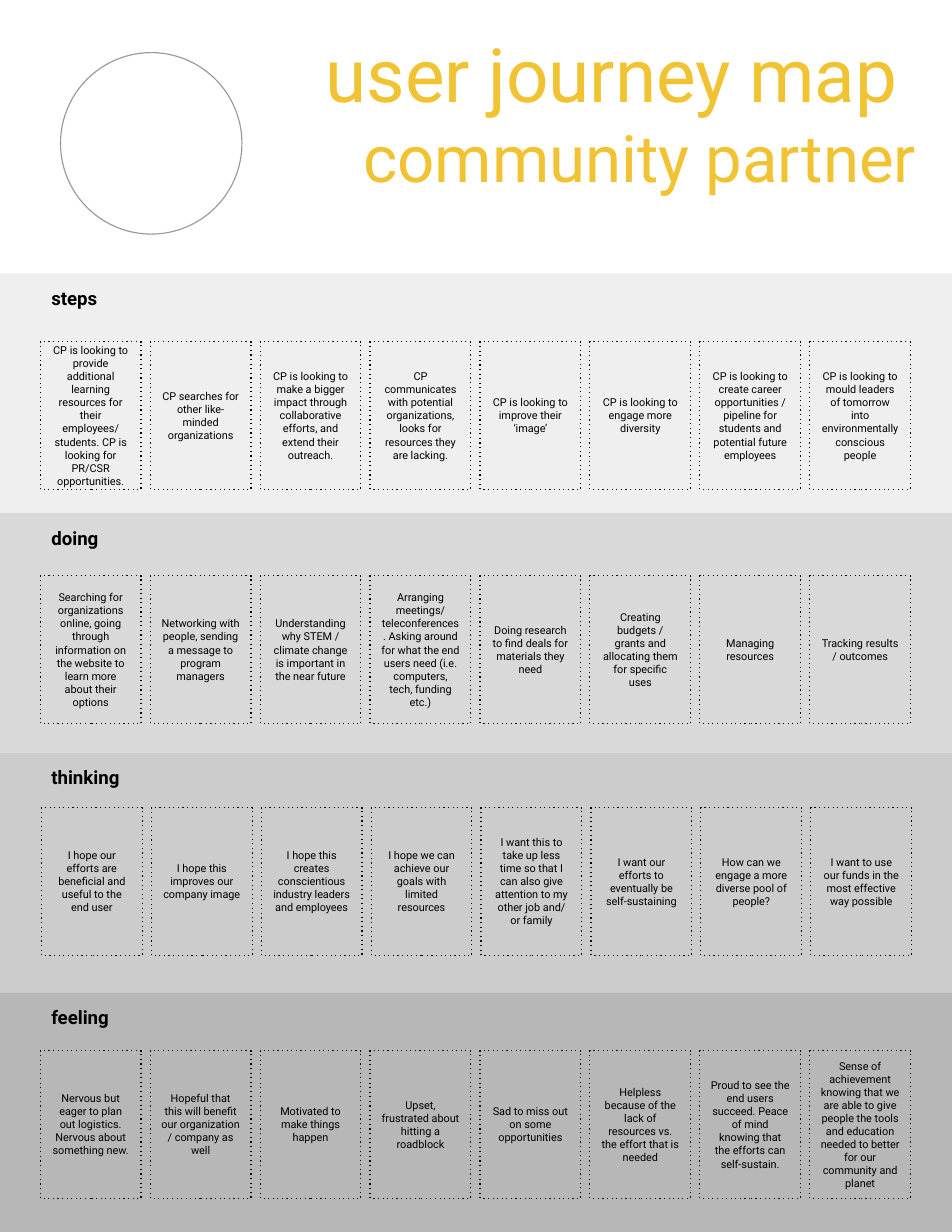
from dataclasses import dataclass
from typing import Any

from lxml import etree
from pptx import Presentation
from pptx.dml.color import RGBColor
from pptx.enum.shapes import MSO_SHAPE
from pptx.enum.text import MSO_ANCHOR, MSO_AUTO_SIZE, PP_ALIGN
from pptx.oxml.ns import qn
from pptx.util import Inches, Pt

RECT, OVAL = MSO_SHAPE.RECTANGLE, MSO_SHAPE.OVAL
TOP, MIDDLE = MSO_ANCHOR.TOP, MSO_ANCHOR.MIDDLE
CENTER, RIGHT, JUSTIFY = PP_ALIGN.CENTER, PP_ALIGN.RIGHT, PP_ALIGN.JUSTIFY
NO_FIT = MSO_AUTO_SIZE.NONE

FONT = "Roboto"
COLORS = {
    "title": "F1C232", "ink": "000000", "ring": "999999",
    "steps": "EFEFEF", "doing": "D9D9D9",
    "thinking": "CCCCCC", "feeling": "B7B7B7",
}

# Grid, in inches
BAND_TOP, BAND_STEP = 2.44, 2.14
LEFT, LAST = 0.36, 7.23
CARD_W, CARD_H = 0.9, 1.32


@dataclass
class Band:
    name: str
    top: float  # top of the cards
    cards: list[str]
    shift: float = 0  # offset to the right


BANDS = [
    Band("steps", 3.05, [
        "CP is looking to provide additional learning resources for their "
        "employees/ students. CP is looking for PR/CSR opportunities.",
        "CP searches for other like-minded organizations",
        "CP is looking to make a bigger impact through collaborative efforts, "
        "and extend their outreach.",
        "CP communicates with potential organizations, looks for resources "
        "they are lacking.",
        "CP is looking to improve their ‘image’",
        "CP is looking to engage more diversity",
        "CP is looking to create career opportunities / pipeline for students "
        "and potential future employees",
        "CP is looking to mould leaders of tomorrow into environmentally "
        "conscious people",
    ]),
    Band("doing", 5.14, [
        "Searching for organizations online, going through information on the "
        "website to learn more about their options",
        "Networking with people, sending a message to program managers",
        "Understanding why STEM / climate change is important in the near "
        "future",
        "Arranging meetings/ teleconferences. Asking around for what the end "
        "users need (i.e. computers, tech, funding etc.)",
        "Doing research to find deals for materials they need",
        "Creating budgets / grants and allocating them for specific uses",
        "Managing resources",
        "Tracking results / outcomes",
    ]),
    Band("thinking", 7.21, [
        "I hope our efforts are beneficial and useful to the end user",
        "I hope this improves our company image",
        "I hope this creates conscientious industry leaders and employees",
        "I hope we can achieve our goals with limited resources",
        "I want this to take up less time so that I can also give attention "
        "to my other job and/ or family",
        "I want our efforts to eventually be self-sustaining",
        "How can we engage a more diverse pool of people?",
        "I want to use our funds in the most effective way possible",
    ], 0.01),
    Band("feeling", 9.38, [
        "Nervous but eager to plan out logistics. Nervous about something new.",
        "Hopeful that this will benefit our organization / company as well",
        "Motivated to make things happen",
        "Upset, frustrated about hitting a roadblock",
        "Sad to miss out on some opportunities",
        "Helpless because of the lack of resources vs. the effort that is "
        "needed",
        "Proud to see the end users succeed. Peace of mind knowing that the "
        "efforts can self-sustain.",
        "Sense of achievement knowing that we are able to give people the "
        "tools and education needed to better for our community and planet",
    ]),
]


def put_text(shape: Any, *lines: str, sizes: tuple[float, ...],
             color: str = "ink", align: Any = CENTER, anchor: Any = MIDDLE,
             bold: bool = False, space: float = 1.0) -> None:
    """Fill a shape with one paragraph per line."""
    frame = shape.text_frame
    frame.word_wrap = True
    frame.auto_size = NO_FIT
    frame.vertical_anchor = anchor
    frame.margin_left = frame.margin_right = Inches(0.1)
    frame.margin_top = frame.margin_bottom = Inches(0.1)
    for i, (line, size) in enumerate(zip(lines, sizes)):
        para = frame.paragraphs[0] if i == 0 else frame.add_paragraph()
        para.alignment = align
        para.line_spacing = space
        para.space_before = para.space_after = Pt(0)
        run = para.add_run()
        run.text = line
        font = run.font
        font.name, font.size, font.bold = FONT, Pt(size), bold
        font.color.rgb = RGBColor.from_string(COLORS[color])


def add_box(slide: Any, kind: Any, x: float, y: float, w: float, h: float,
            fill: str | None = None, line: str | None = None,
            dotted: bool = False) -> Any:
    """Add a flat shape with an optional fill and outline."""
    shape = slide.shapes.add_shape(
        kind, Inches(x), Inches(y), Inches(w), Inches(h))
    shape.shadow.inherit = False
    if fill:
        shape.fill.solid()
        shape.fill.fore_color.rgb = RGBColor.from_string(COLORS[fill])
    else:
        shape.fill.background()
    if line:
        shape.line.color.rgb = RGBColor.from_string(COLORS[line])
        shape.line.width = Pt(0.75)
    else:
        shape.line.fill.background()
    if dotted:
        edge = shape._element.spPr.find(qn("a:ln"))
        etree.SubElement(edge, qn("a:prstDash"), val="dot")
    return shape


def add_title(slide: Any) -> None:
    """Set the two-line heading in the subtitle placeholder."""
    head = slide.placeholders[1]
    head.left, head.top = Inches(LEFT), Inches(0.15)
    head.width, head.height = Inches(7.92), Inches(1.11)
    put_text(head, "user journey map ", "community partner", sizes=(48, 42),
             color="title", align=RIGHT, anchor=TOP)
    spare = slide.shapes.title._element
    spare.getparent().remove(spare)


def add_cards(slide: Any, band: Band) -> None:
    """Draw a row of evenly spaced dotted cards."""
    step = (LAST - LEFT) / (len(band.cards) - 1)
    for i, text in enumerate(band.cards):
        card = add_box(slide, RECT, LEFT + band.shift + i * step, band.top,
                       CARD_W, CARD_H, line="ink", dotted=True)
        put_text(card, text, sizes=(7,))


def add_label(slide: Any, name: str, top: float) -> None:
    """Write the name of a band."""
    label = slide.shapes.add_textbox(
        Inches(LEFT), Inches(top), Inches(1.57), Inches(0.41))
    put_text(label, name, sizes=(12,), align=JUSTIFY, bold=True, space=1.15)


def main() -> None:
    deck = Presentation()
    deck.slide_width, deck.slide_height = Inches(8.5), Inches(11)
    slide = deck.slides.add_slide(deck.slide_layouts[0])

    # Heading and portrait ring
    add_title(slide)
    add_box(slide, OVAL, 0.54, 0.47, 1.62, 1.62, line="ring")

    # Bands with their labels and cards
    for i, band in enumerate(BANDS):
        top = BAND_TOP + i * BAND_STEP
        add_box(slide, RECT, -0.01, top, 8.51, BAND_STEP, fill=band.name)
        add_label(slide, band.name, top)
        add_cards(slide, band)

    deck.save("out.pptx")


if __name__ == "__main__":
    main()
